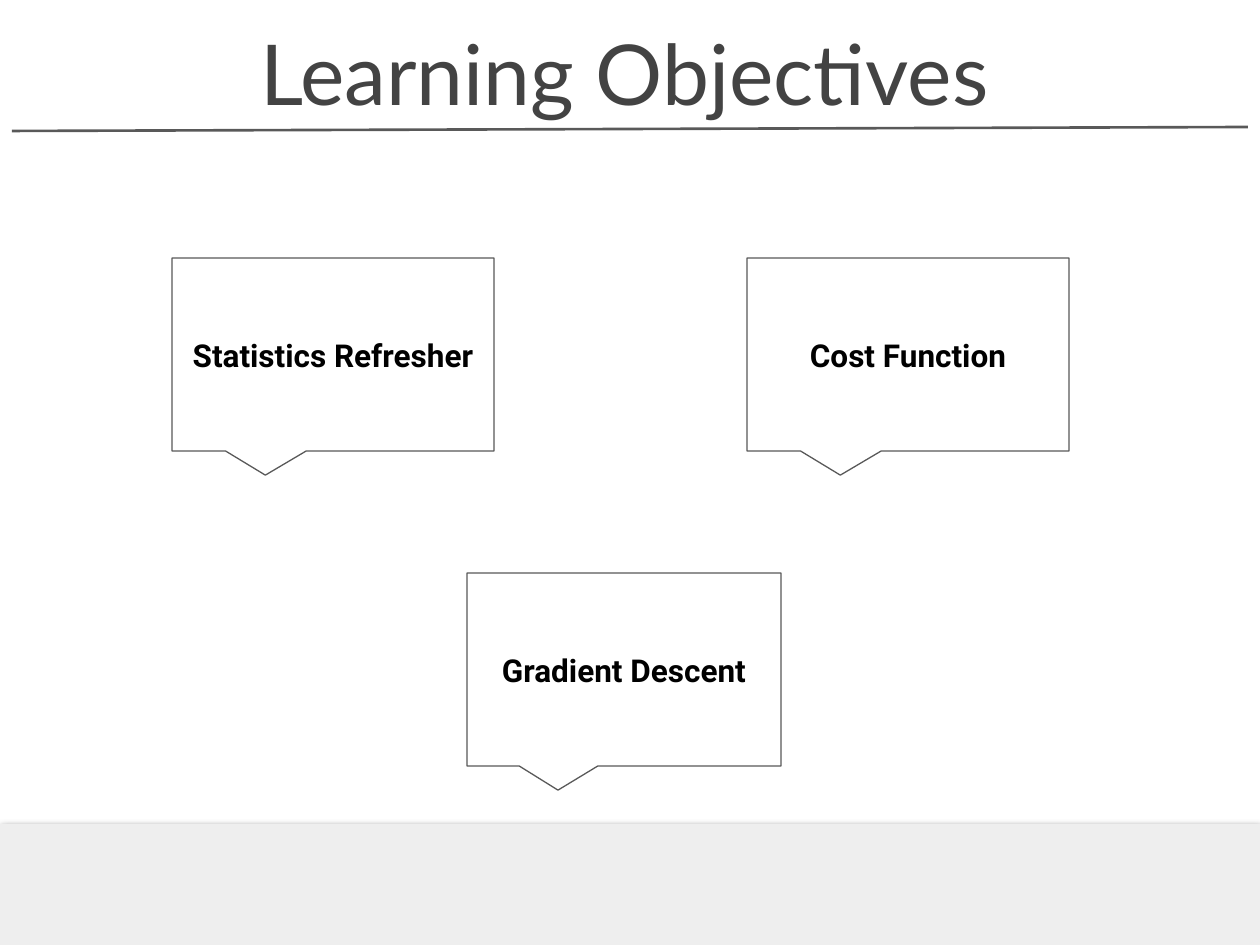
from lxml import etree
from pptx import Presentation
from pptx.dml.color import RGBColor
from pptx.enum.shapes import MSO_CONNECTOR, MSO_SHAPE
from pptx.enum.text import MSO_ANCHOR, MSO_AUTO_SIZE, PP_ALIGN
from pptx.oxml import parse_xml
from pptx.oxml.ns import nsdecls, qn
from pptx.util import Pt

LINE = MSO_CONNECTOR.STRAIGHT
RECT = MSO_SHAPE.RECTANGLE
CALLOUT = MSO_SHAPE.ROUNDED_RECTANGULAR_CALLOUT
TOP, MIDDLE, BOTTOM = MSO_ANCHOR.TOP, MSO_ANCHOR.MIDDLE, MSO_ANCHOR.BOTTOM
CENTER = PP_ALIGN.CENTER
NO_FIT = MSO_AUTO_SIZE.NONE

PX = 914400 // 126
COLORS = {"rule": "595959", "footer": "EEEEEE", "title": "434343", "label": "000000"}
TITLE_FONT = {"name": "Lato", "size": Pt(48), "bold": False}
LABEL_FONT = {"name": "Roboto", "size": Pt(18), "bold": True}
FOOTER_SHADOW = (
    f'<a:effectLst {nsdecls("a")}>'
    '<a:outerShdw blurRad="57150" dist="19050" dir="5400000" algn="bl" rotWithShape="0">'
    '<a:srgbClr val="000000"><a:alpha val="50000"/></a:srgbClr>'
    '</a:outerShdw></a:effectLst>'
)


def rgb(key):
    return RGBColor.from_string(COLORS[key])


def write(sp, text, anchor, font, color):
    """Put one centred line of formatted text into a shape."""
    tf = sp.text_frame
    frame = {"word_wrap": True, "auto_size": NO_FIT, "vertical_anchor": anchor}
    for side in ("left", "top", "right", "bottom"):
        frame[f"margin_{side}"] = 13 * PX
    for name, value in frame.items():
        setattr(tf, name, value)
    p = tf.paragraphs[0]
    p.alignment = CENTER
    r = p.add_run()
    r.text = text
    for name, value in font.items():
        setattr(r.font, name, value)
    r.font.color.rgb = rgb(color)


prs = Presentation()
prs.slide_width, prs.slide_height = 1260 * PX, 945 * PX
s = prs.slides.add_slide(prs.slide_layouts[5])

# Rule under the title
rule = s.shapes.add_connector(LINE, 12 * PX, 131 * PX, 1248 * PX, 127 * PX)
rule.line.color.rgb = rgb("rule")
rule.line.width = Pt(1.5)
etree.SubElement(rule._element.spPr, qn("a:effectLst"))

# Footer band
footer = s.shapes.add_shape(RECT, 0, 824 * PX, 1260 * PX, 121 * PX)
footer.fill.solid()
footer.fill.fore_color.rgb = rgb("footer")
footer.line.fill.background()
footer._element.spPr.append(parse_xml(FOOTER_SHADOW))

# Title
title = s.shapes.title
title.left, title.top, title.width, title.height = 164 * PX, 24 * PX, 921 * PX, 111 * PX
write(title, "Learning Objectives", BOTTOM, TITLE_FONT, "title")

# Objectives: text, left, top, width
objectives = [
    ("Statistics Refresher", 172, 258, 322),
    ("Gradient Descent", 467, 573, 314),
    ("Cost Function", 747, 258, 322),
]
for text, left, top, width in objectives:
    sp = s.shapes.add_shape(CALLOUT, left * PX, top * PX, width * PX, 193 * PX)
    for i, value in enumerate((-0.21, 0.625, 0)):
        sp.adjustments[i] = value
    sp.shadow.inherit = False
    sp.fill.background()
    sp.line.color.rgb = rgb("rule")
    sp.line.width = Pt(0.75)
    write(sp, text, MIDDLE, LABEL_FONT, "label")

prs.save("out.pptx")
